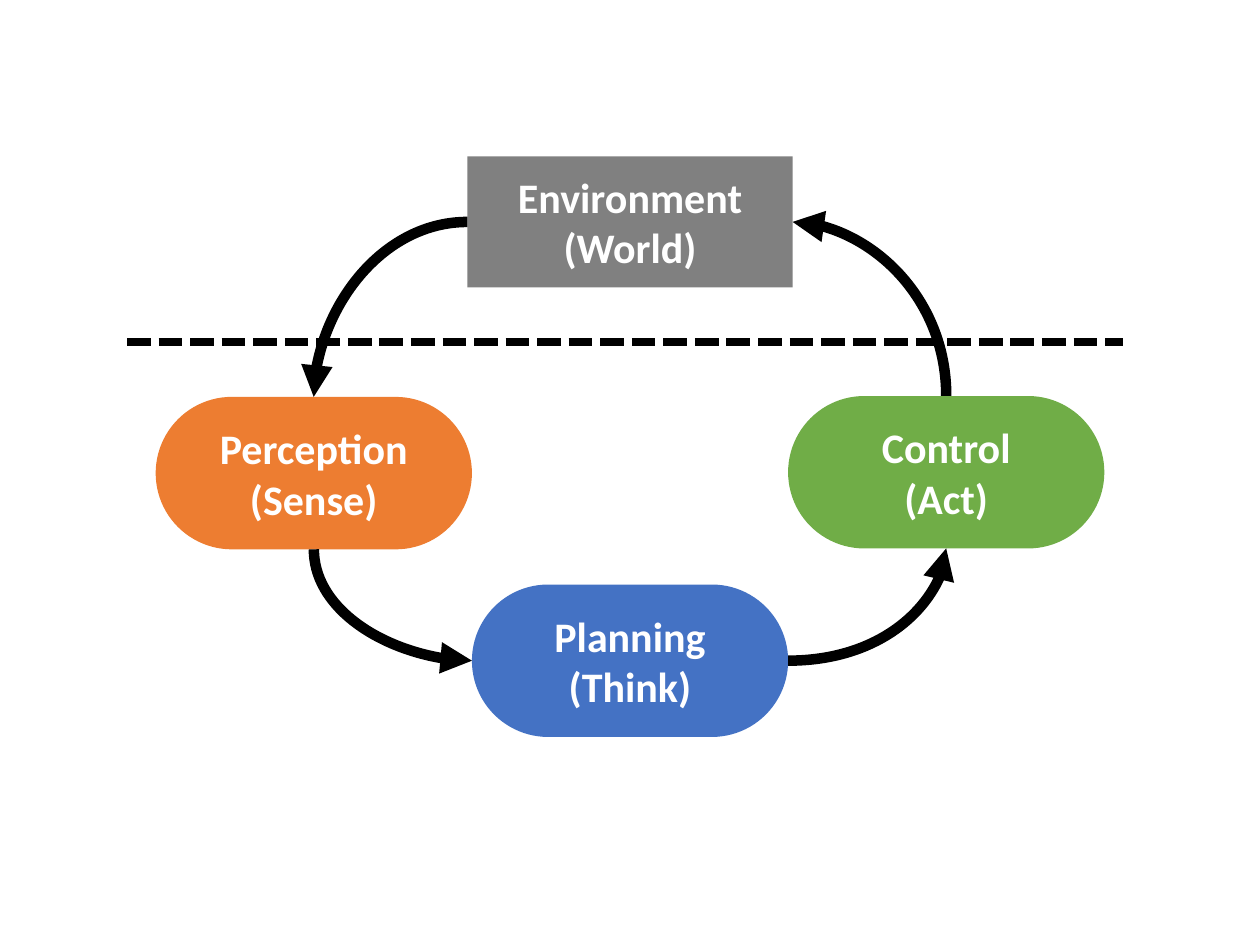
from lxml import etree
from pptx import Presentation
from pptx.dml.color import RGBColor
from pptx.enum.dml import MSO_LINE
from pptx.enum.shapes import MSO_CONNECTOR, MSO_SHAPE
from pptx.enum.text import MSO_ANCHOR, PP_ALIGN
from pptx.oxml.ns import qn
from pptx.util import Pt

RECTANGLE = MSO_SHAPE.RECTANGLE
PILL = MSO_SHAPE.ROUNDED_RECTANGLE
STRAIGHT = MSO_CONNECTOR.STRAIGHT
CURVE = MSO_CONNECTOR.CURVE
DASH = MSO_LINE.SQUARE_DOT
MIDDLE = MSO_ANCHOR.MIDDLE
CENTER = PP_ALIGN.CENTER


def color(value):
    return RGBColor.from_string(value)


class Diagram:
    """Holds the style and the current page of a cycle diagram."""

    font = "Calibri"
    text_size = 24
    text_color = "FFFFFF"
    line_color = "000000"

    def __init__(self, page):
        self.page = page

    def node(self, kind, left, top, width, height, fill, lines):
        box = self.page.shapes.add_shape(kind, Pt(left), Pt(top), Pt(width), Pt(height))
        box.shadow.inherit = False
        box.fill.solid()
        box.fill.fore_color.rgb = color(fill)
        box.line.fill.background()
        if kind == PILL:
            box.adjustments[0] = 0.5
        frame = box.text_frame
        frame.word_wrap = True
        frame.vertical_anchor = MIDDLE
        for index, text in enumerate(lines):
            para = frame.add_paragraph() if index else frame.paragraphs[0]
            para.alignment = CENTER
            span = para.add_run()
            span.text = text
            span.font.name = self.font
            span.font.size = Pt(self.text_size)
            span.font.bold = True
            span.font.color.rgb = color(self.text_color)
        middle_x, middle_y = left + width / 2, top + height / 2
        return {
            "left": (left, middle_y),
            "right": (left + width, middle_y),
            "top": (middle_x, top),
            "bottom": (middle_x, top + height),
        }

    def line(self, kind, start, end, width):
        line = self.page.shapes.add_connector(kind, *(Pt(v) for v in (*start, *end)))
        line.line.color.rgb = color(self.line_color)
        line.line.width = Pt(width)
        etree.SubElement(line._element.spPr, qn("a:effectLst"))
        return line

    def divider(self, start, end):
        self.line(STRAIGHT, start, end, 4.5).line.dash_style = DASH

    def arrow(self, start, end, leaves_vertically):
        if leaves_vertically:
            x, y = ((a + b) / 2 for a, b in zip(start, end))
            start, end = ((x - (py - y), y + (px - x)) for px, py in (start, end))
        arrow = self.line(CURVE, start, end, 6)
        properties = arrow._element.spPr
        properties.find(qn("a:prstGeom")).set("prst", "curvedConnector2")
        if leaves_vertically:
            properties.find(qn("a:xfrm")).set("rot", str(270 * 60000))
        etree.SubElement(properties.find(qn("a:ln")), qn("a:tailEnd"), type="triangle")


deck = Presentation()
deck.slide_width, deck.slide_height = Pt(720), Pt(540)
diagram = Diagram(deck.slides.add_slide(deck.slide_layouts[6]))

environment = diagram.node(
    RECTANGLE, 267.1, 89.4, 185.8, 74.9, "808080", ["Environment", "(World)"]
)
pill_width, pill_height = 180.7, 87.1
first_left = 360 - 1.5 * pill_width
stages = [
    (226.8, "ED7D31", ["Perception", "(Sense)"]),
    (334, "4472C4", ["Planning", "(Think)"]),
    (226.3, "70AD47", ["Control", "(Act)"]),
]
perception, planning, control = [
    diagram.node(PILL, first_left + i * pill_width, top, pill_width, pill_height, fill, lines)
    for i, (top, fill, lines) in enumerate(stages)
]

diagram.divider((72.6, 195.6), (641.6, 195.6))
diagram.arrow(environment["left"], perception["top"], False)
diagram.arrow(perception["bottom"], planning["left"], True)
diagram.arrow(planning["right"], control["bottom"], False)
diagram.arrow(control["top"], environment["right"], True)

deck.save("out.pptx")
